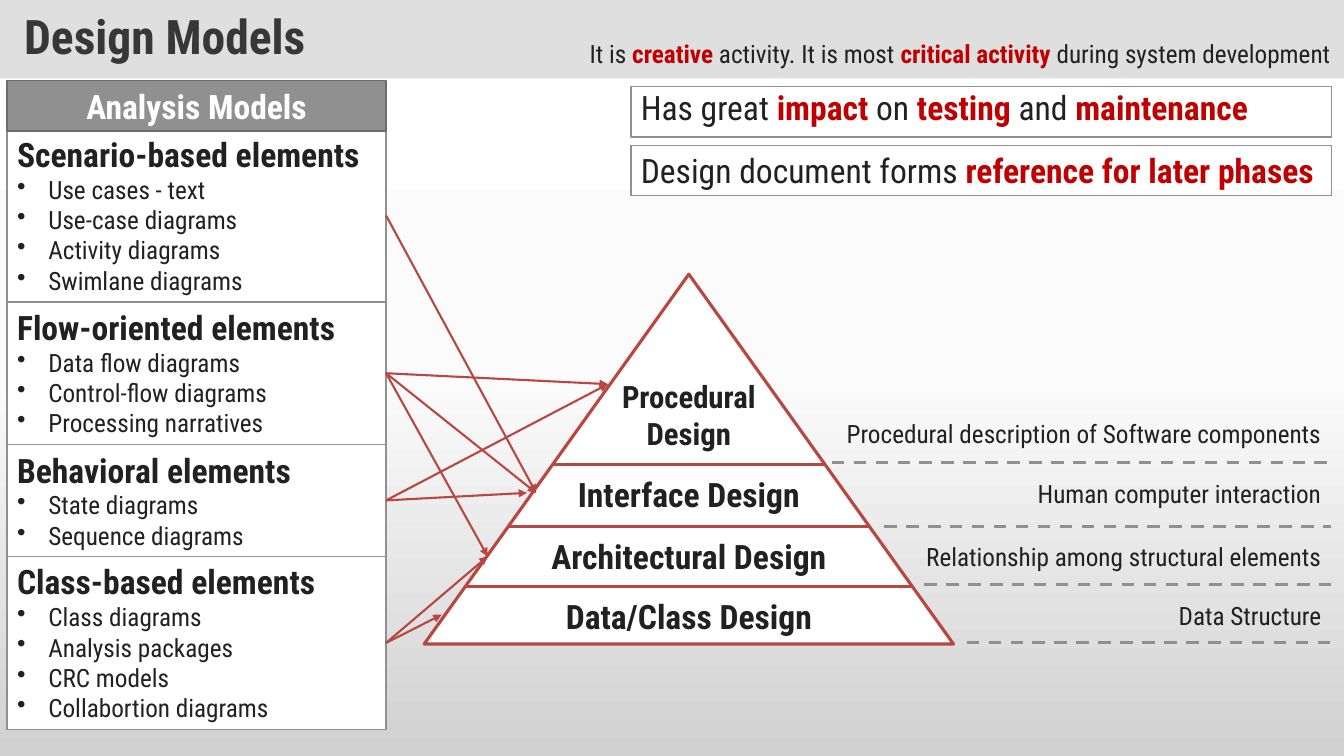
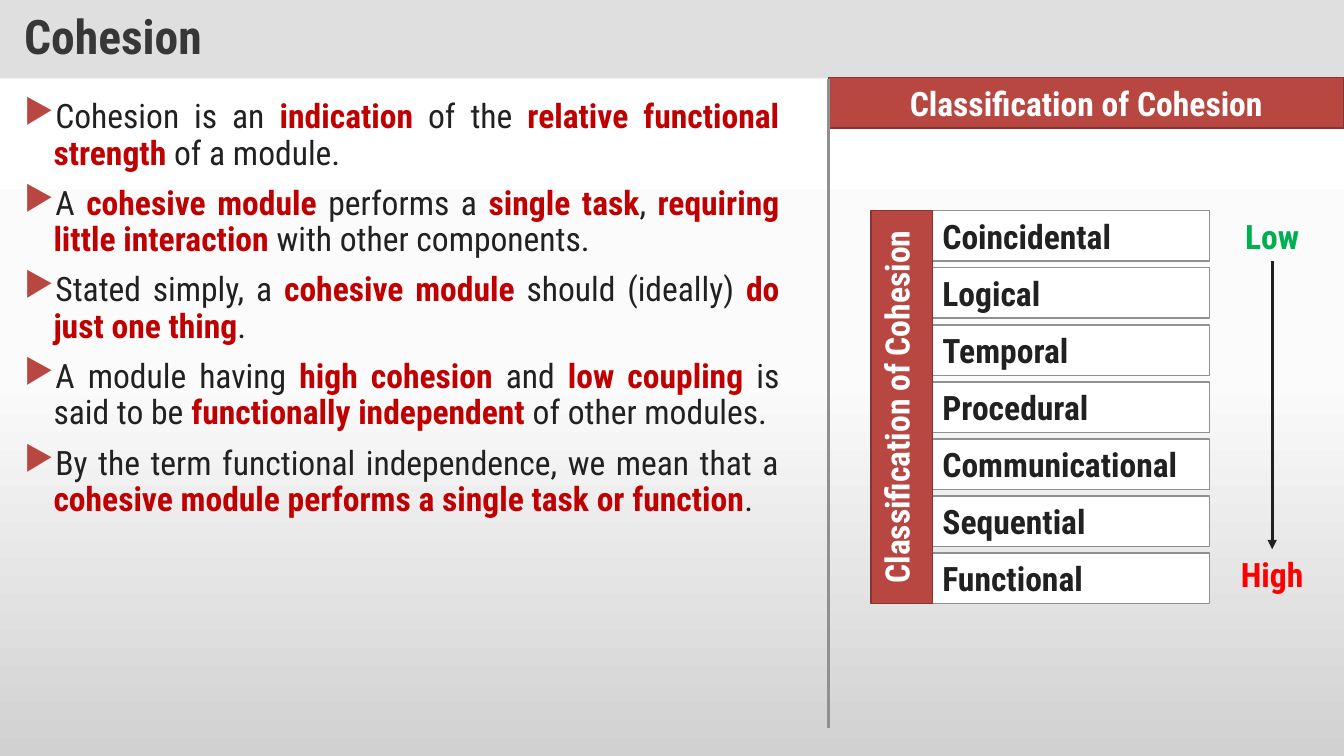
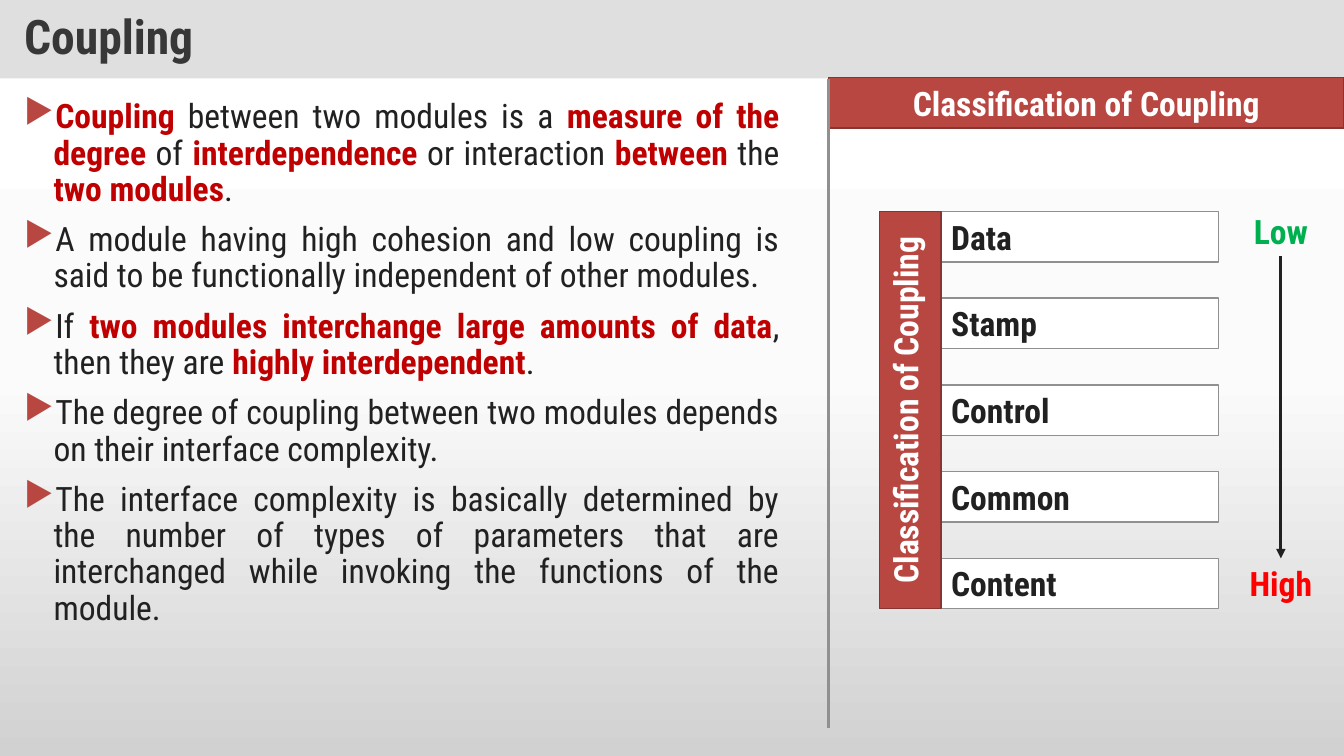
from copy import deepcopy

from lxml.etree import SubElement
from pptx import Presentation
from pptx.dml.color import RGBColor
from pptx.enum.dml import MSO_LINE
from pptx.enum.shapes import MSO_CONNECTOR, MSO_SHAPE
from pptx.enum.text import MSO_ANCHOR, PP_ALIGN
from pptx.oxml.ns import qn
from pptx.util import Cm, Pt

FONT = "Roboto Condensed"
COLORS = {
    "white": "FFFFFF", "ink": "212121", "title": "373737", "band": "C0C0C0",
    "grey": "909090", "dark_grey": "6B6B6B", "red": "B84742", "dark_red": "883531",
    "key": "C00000", "low": "00B050", "high": "FF0000",
    "sky": "FFFFFF", "middle": "FBFBFB", "ground": "D1D1D1",
}
WIDTH, HEIGHT = 33.87, 19.05
BAND_HEIGHT = 1.98
ROW_HEIGHT = 1.27      # one line of 24 pt text
CAPTION_HEIGHT = 1.02  # one line of 18 pt text
RIGHT_EDGE = 33.55

# Content: words between asterisks are key words

SUBTITLE = "It is *creative* activity. It is most *critical activity* during system development"
STATEMENTS = [  # text, top, line spacing
    ("Has great *impact* on *testing* and *maintenance*", 2.18, 0.9),
    ("Design document forms *reference for later phases*", 3.66, None),
]
TARGETS = {
    "procedural": (15.32, 9.68), "interface": (13.51, 12.42),
    "interface side": (13.28, 12.42), "architectural": (12.29, 14.02),
    "data": (11.13, 15.49),
}
ANALYSIS_MODELS = [  # heading, items, arrow targets
    ("Scenario-based elements",
     ["Use cases - text", "Use-case diagrams", "Activity diagrams", "Swimlane diagrams"],
     ["interface"]),
    ("Flow-oriented elements",
     ["Data flow diagrams", "Control-flow diagrams", "Processing narratives"],
     ["procedural", "interface", "architectural"]),
    ("Behavioral elements",
     ["State diagrams", "Sequence diagrams"],
     ["procedural", "interface side"]),
    ("Class-based elements",
     ["Class diagrams", "Analysis packages", "CRC models", "Collabortion diagrams"],
     ["architectural", "data"]),
]
PYRAMID = (10.69, 6.91, 13.34, 9.32)
PYRAMID_LEVELS = [  # label lines, top, width, height, size
    (["Procedural", "Design"], 9.4, 4.04, 2.13, 22),
    (["Interface Design"], 11.81, 6.25, ROW_HEIGHT, 24),
    (["Architectural Design"], 13.39, 7.67, ROW_HEIGHT, 24),
    (["Data/Class Design"], 14.88, 6.76, ROW_HEIGHT, 24),
]
LEVEL_BORDERS = [11.71, 13.26, 14.78]
CAPTIONS = [  # text, top, width, dashed line start and height
    ("Procedural description of Software components", 10.41, 12.62, 20.96, 11.66),
    ("Human computer interaction", 11.94, 7.75, 22.28, 13.26),
    ("Relationship among structural elements", 13.51, 10.59, 23.29, 14.73),
    ("Data Structure", 15.01, 4.17, 24.36, 16.18),
]
TOPICS = [
    {
        "title": "Cohesion",
        "points": [
            "Cohesion is an *indication* of the *relative functional strength* of a module.",
            "A *cohesive module* performs a *single task*, *requiring little interaction* "
            "with other components.",
            "Stated simply, a *cohesive module* should (ideally) *do just one thing*.",
            "A module having *high cohesion* and *low coupling* is said to be "
            "*functionally independent* of other modules.",
            "By the term functional independence, we mean that a "
            "*cohesive module performs a single task or function*.",
        ],
        "classes": ["Coincidental", "Logical", "Temporal", "Procedural",
                    "Communicational", "Sequential", "Functional"],
        "spine": (21.95, 5.31, 9.9), "low_top": 5.31, "high_top": 13.84,
    },
    {
        "title": "Coupling",
        "points": [
            "*Coupling* between two modules is a *measure of the degree* of "
            "*interdependence* or interaction *between* the *two modules*.",
            "A module having high cohesion and low coupling is said to be "
            "functionally independent of other modules.",
            "If *two modules interchange large amounts of data*, then they are "
            "*highly interdependent*.",
            "The degree of coupling between two modules depends on their interface complexity.",
            "The interface complexity is basically determined by the number of types of "
            "parameters that are interchanged while invoking the functions of the module.",
        ],
        "classes": ["Data", "Stamp", "Control", "Common", "Content"],
        "spine": (22.17, 5.33, 10.01), "low_top": 5.18, "high_top": 14.07,
    },
]


# Drawing helpers

def rgb(name):
    return RGBColor.from_string(COLORS[name])


def add_bullet(paragraph, char, indent, color=None):
    properties = paragraph._p.get_or_add_pPr()
    properties.set("marL", str(Cm(indent)))
    properties.set("indent", str(-Cm(indent)))
    if color:
        holder = SubElement(properties, qn("a:buClr"))
        SubElement(holder, qn("a:srgbClr")).set("val", COLORS[color])
    SubElement(properties, qn("a:buChar")).set("char", char)


def write_paragraph(paragraph, text, size=24, color="ink", bold=False,
                    align=PP_ALIGN.LEFT, spacing=None):
    paragraph.alignment = align
    if spacing:
        paragraph.line_spacing = spacing
    for index, piece in enumerate(text.split("*")):
        if piece:
            is_key = index % 2 == 1
            run = paragraph.add_run()
            run.text = piece
            run.font.name, run.font.size = FONT, Pt(size)
            run.font.bold = bold or is_key
            run.font.color.rgb = rgb("key" if is_key else color)


def next_paragraph(frame, index):
    return frame.add_paragraph() if index else frame.paragraphs[0]


def add_box(slide, place, lines=(), fill=None, outline=None, weight=1, wrap=True,
            kind=MSO_SHAPE.RECTANGLE, **style):
    place = [Cm(length) for length in place]
    if fill:
        box = slide.shapes.add_shape(kind, *place)
        box.shadow.inherit = False
        box.fill.solid()
        box.fill.fore_color.rgb = rgb(fill)
        if outline:
            box.line.color.rgb = rgb(outline)
            box.line.width = Pt(weight)
        else:
            box.line.fill.background()
    else:
        box = slide.shapes.add_textbox(*place)
    frame = box.text_frame
    frame.word_wrap = wrap
    frame.vertical_anchor = MSO_ANCHOR.TOP
    for index, line in enumerate(lines):
        write_paragraph(next_paragraph(frame, index), line, **style)
    return box


def add_line(slide, start, end, color, weight=2.25, dashed=False, arrow=False):
    line = slide.shapes.add_connector(
        MSO_CONNECTOR.STRAIGHT, *[Cm(length) for length in (*start, *end)])
    line.line.color.rgb = rgb(color)
    line.line.width = Pt(weight)
    if dashed:
        line.line.dash_style = MSO_LINE.DASH
    if arrow:
        SubElement(line.line._get_or_add_ln(), qn("a:tailEnd")).set("type", "triangle")
    SubElement(line._element.spPr, qn("a:effectLst"))
    return line


# Shared look

def set_background(master):
    fill = master.background.fill
    fill.gradient()
    fill.gradient_angle = 270
    stop_list = master._element.find(".//" + qn("a:gsLst"))
    stop_list.insert(1, deepcopy(stop_list[0]))
    shades = [("sky", 0), ("middle", 0.5), ("ground", 1)]
    for stop, (shade, position) in zip(fill.gradient_stops, shades):
        stop.color.rgb = rgb(shade)
        stop.position = position


def add_titled_slide(prs, title):
    slide = prs.slides.add_slide(prs.slide_layouts[6])
    band = add_box(slide, (0, 0, WIDTH, BAND_HEIGHT), [title], fill="band",
                   size=34, color="title", bold=True, spacing=0.9)
    alpha = SubElement(band._element.spPr.find(".//" + qn("a:srgbClr")), qn("a:alpha"))
    alpha.set("val", "50000")
    frame = band.text_frame
    frame.vertical_anchor = MSO_ANCHOR.MIDDLE
    frame.margin_left = frame.margin_right = Cm(0.61)
    frame.margin_top = frame.margin_bottom = Cm(0.3)
    return slide


# Slide parts

def add_pyramid(slide):
    left, top, width, height = PYRAMID
    center = left + width / 2
    add_box(slide, PYRAMID, fill="white", outline="red", weight=2.25,
            kind=MSO_SHAPE.ISOSCELES_TRIANGLE)
    for label, label_top, label_width, label_height, size in PYRAMID_LEVELS:
        add_box(slide, (center - label_width / 2, label_top, label_width, label_height),
                label, wrap=False, size=size, bold=True, align=PP_ALIGN.CENTER)
    for y in LEVEL_BORDERS:
        half = width / 2 * (y - top) / height
        add_line(slide, (center - half, y), (center + half, y), "red")
    for text, caption_top, caption_width, dash_left, dash_y in CAPTIONS:
        add_line(slide, (dash_left, dash_y), (RIGHT_EDGE, dash_y), "grey", dashed=True)
        add_box(slide, (RIGHT_EDGE - caption_width, caption_top, caption_width, CAPTION_HEIGHT),
                [text], wrap=False, size=18, align=PP_ALIGN.RIGHT)


def add_analysis_models(slide):
    left, top, width = 0.18, 3.25, 9.55
    sources = []
    for heading, items, targets in ANALYSIS_MODELS:
        height = 1.28 + 0.77 * len(items)
        model = add_box(slide, (left, top, width, height), [heading],
                        fill="white", outline="grey", bold=True)
        for item in items:
            paragraph = model.text_frame.add_paragraph()
            add_bullet(paragraph, "•", 0.79)
            write_paragraph(paragraph, item, size=18)
        sources.append((model, (left + width, top + height / 2), targets))
        top += height
    add_box(slide, (left, 2.03, width, ROW_HEIGHT), ["Analysis Models"], fill="grey",
            outline="dark_grey", color="white", bold=True, align=PP_ALIGN.CENTER)
    for model, start, targets in sources:
        for target in targets:
            arrow = add_line(slide, start, TARGETS[target], "red", 1.5, arrow=True)
            arrow.begin_connect(model, 3)


def add_design_models(prs):
    slide = add_titled_slide(prs, "Design Models")
    add_box(slide, (13.28, 0.84, 20.5, CAPTION_HEIGHT), [SUBTITLE],
            size=18, align=PP_ALIGN.RIGHT)
    for text, top, spacing in STATEMENTS:
        add_box(slide, (15.9, top, RIGHT_EDGE - 15.9, ROW_HEIGHT), [text],
                fill="white", outline="grey", spacing=spacing)
    add_pyramid(slide)
    add_analysis_models(slide)


def add_points(slide, points):
    frame = add_box(slide, (0.36, 2.39, 19.53, 15.52)).text_frame
    for index, point in enumerate(points):
        paragraph = next_paragraph(frame, index)
        add_bullet(paragraph, "▶", 0.74, "red")
        write_paragraph(paragraph, point, align=PP_ALIGN.JUSTIFY, spacing=0.9)
        if index:
            paragraph.space_before = Pt(10)


def add_scale(slide, topic, heading):
    left, top, height = topic["spine"]
    spine_width = 1.55
    classes = topic["classes"]
    pitch = (height - ROW_HEIGHT) / (len(classes) - 1)
    for index, name in enumerate(classes):
        add_box(slide, (left + spine_width, top + index * pitch, 6.99, ROW_HEIGHT),
                [name], fill="white", outline="grey", bold=True)
    spine = add_box(slide, (left, top, spine_width, height), [heading], fill="red",
                    outline="dark_red", color="white", bold=True, align=PP_ALIGN.CENTER)
    spine.text_frame._txBody.bodyPr.set("vert", "vert270")

    # Low to high arrow
    axis = left + 10.11
    low, high = [
        add_box(slide, (axis - width / 2, end_top, width, ROW_HEIGHT), [text],
                wrap=False, color=color, bold=True, align=PP_ALIGN.CENTER)
        for text, color, end_top, width in [
            ("Low", "low", topic["low_top"], 1.96),
            ("High", "high", topic["high_top"], 2.13)]
    ]
    arrow = add_line(slide, (axis, topic["low_top"] + ROW_HEIGHT),
                     (axis, topic["high_top"]), "ink", arrow=True)
    arrow.begin_connect(low, 2)
    arrow.end_connect(high, 0)


def add_topic(prs, topic):
    slide = add_titled_slide(prs, topic["title"])
    heading = f"Classification of {topic['title']}"
    panel_left = 20.88
    add_points(slide, topic["points"])
    add_box(slide, (panel_left, 1.96, WIDTH - panel_left, ROW_HEIGHT), [heading], fill="red",
            outline="dark_red", color="white", bold=True, align=PP_ALIGN.CENTER)
    add_line(slide, (panel_left, BAND_HEIGHT), (panel_left, 18.34), "grey")
    add_scale(slide, topic, heading)


def main():
    prs = Presentation()
    prs.slide_width, prs.slide_height = Cm(WIDTH), Cm(HEIGHT)
    set_background(prs.slide_master)
    add_design_models(prs)
    for topic in TOPICS:
        add_topic(prs, topic)
    prs.save("out.pptx")


if __name__ == "__main__":
    main()
